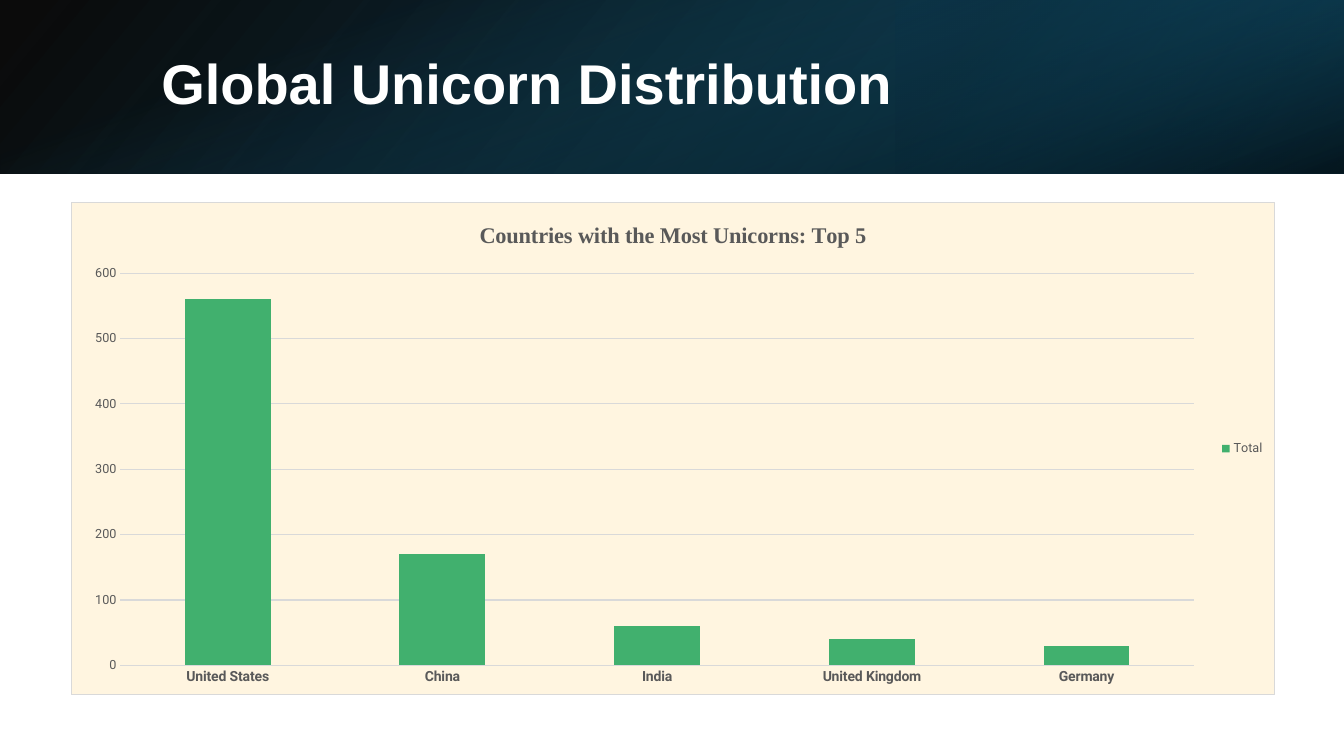
"""Builds the slide on global unicorn distribution."""
from dataclasses import dataclass

from lxml import etree
from pptx import Presentation
from pptx.chart.data import CategoryChartData
from pptx.dml.color import RGBColor
from pptx.enum.chart import XL_CHART_TYPE, XL_LEGEND_POSITION, XL_TICK_MARK
from pptx.enum.shapes import MSO_SHAPE
from pptx.enum.text import MSO_ANCHOR, PP_ALIGN
from pptx.oxml import parse_xml
from pptx.oxml.ns import nsdecls, qn
from pptx.util import Inches, Pt

STACKED = XL_CHART_TYPE.COLUMN_STACKED
LEGEND_RIGHT = XL_LEGEND_POSITION.RIGHT
NO_TICK = XL_TICK_MARK.NONE
RECTANGLE = MSO_SHAPE.RECTANGLE
MIDDLE = MSO_ANCHOR.MIDDLE
LEFT = PP_ALIGN.LEFT

WIDTH, HEIGHT = 13.33, 7.5
BANNER = 1.72
COUNTRIES = {
    "United States": 560,
    "China": 170,
    "India": 60,
    "United Kingdom": 40,
    "Germany": 30,
}


@dataclass(frozen=True)
class Theme:
    """Colours, fonts and type sizes of the slide."""
    white: str = "FFFFFF"
    black: str = "000000"
    teal: str = "104862"
    navy: str = "0B3041"
    blue: str = "156082"
    cream: str = "FFF5E0"
    green: str = "41B06E"
    ink: str = "595959"
    rule: str = "D9D9D9"
    title_font: str = "Arial"
    heading_font: str = "Times New Roman"
    chart_font: str = "Roboto"
    title_size: int = 40
    heading_size: int = 16
    category_size: int = 10
    label_size: int = 9
    rule_width: float = 0.75


THEME = Theme()


def format_font(font, name=THEME.chart_font, size=THEME.label_size, color=THEME.ink, bold=False):
    """Set the typeface, size, colour and weight of a font."""
    font.name, font.size, font.bold = name, Pt(size), bold
    font.color.rgb = RGBColor.from_string(color)


def write_text(frame, text, align=None, **font_format):
    """Write one formatted paragraph into a text frame."""
    para = frame.paragraphs[0]
    para.alignment = align
    span = para.add_run()
    span.text = text
    format_font(span.font, **font_format)
    return para


def format_rule(line):
    """Draw a line as a thin grey rule."""
    line.color.rgb = RGBColor.from_string(THEME.rule)
    line.width = Pt(THEME.rule_width)


def add_gradient_box(page, frame, stops, angle, rotation=0, flip=False):
    """Add a box with a translucent linear gradient."""
    box = page.shapes.add_shape(RECTANGLE, *map(Inches, frame))
    box.shadow.inherit = False
    box.line.fill.background()
    box.rotation = rotation
    properties = box.element.spPr
    if flip:
        properties.find(qn("a:xfrm")).set("flipH", "1")
    marks = "".join(
        f'<a:gs pos="{place * 1000}"><a:srgbClr val="{color}">'
        f'<a:alpha val="{opacity * 1000}"/></a:srgbClr></a:gs>'
        for place, color, opacity in stops
    )
    box.fill.gradient()
    gradient = properties.find(qn("a:gradFill"))
    properties.replace(gradient, parse_xml(
        f'<a:gradFill {nsdecls("a")} rotWithShape="1"><a:gsLst>{marks}</a:gsLst>'
        f'<a:lin ang="{angle * 60000}" scaled="0"/></a:gradFill>'
    ))


def add_banner(page):
    """Layer three gradients across the top of the slide."""
    third = WIDTH / 3
    offset = (WIDTH - BANNER) / 2
    add_gradient_box(page, (0, 0, WIDTH, BANNER),
                     [(0, THEME.black, 96), (100, THEME.teal, 100)], 140, flip=True)
    add_gradient_box(page, (2 * third, 0, third, BANNER),
                     [(19, THEME.navy, 68), (100, THEME.blue, 79)], 320, rotation=180, flip=True)
    add_gradient_box(page, (offset, -offset, BANNER, WIDTH),
                     [(23, THEME.blue, 0), (99, THEME.black, 74)], 340, rotation=90)


def place_title(page, text, frame):
    """Move the title placeholder above the banner and fill it."""
    title = page.shapes.title
    title.left, title.top, title.width, title.height = map(Inches, frame)
    title.element.getparent().append(title.element)
    title.text_frame.word_wrap = True
    title.text_frame.vertical_anchor = MIDDLE
    para = write_text(title.text_frame, text, align=LEFT, name=THEME.title_font,
                      size=THEME.title_size, color=THEME.white, bold=True)
    para.line_spacing = 0.9


def fill_chart_area(chart):
    """Give the chart area its fill and border."""
    area = parse_xml(
        f'<c:spPr {nsdecls("c", "a")}><a:solidFill><a:srgbClr val="{THEME.cream}"/></a:solidFill>'
        f'<a:ln w="{Pt(THEME.rule_width)}"><a:solidFill><a:srgbClr val="{THEME.rule}"/>'
        '</a:solidFill></a:ln></c:spPr>'
    )
    space = chart.element
    space.find(qn("c:chart")).addnext(area)
    if space.find(qn("c:roundedCorners")) is None:
        corners = etree.Element(qn("c:roundedCorners"), val="0")
        space.find(qn("c:chart")).addprevious(corners)


def format_axes(chart):
    """Format the category and value axes."""
    categories, values = chart.category_axis, chart.value_axis
    for axis in (categories, values):
        axis.major_tick_mark = axis.minor_tick_mark = NO_TICK
    format_font(categories.tick_labels.font, size=THEME.category_size, bold=True)
    format_rule(categories.format.line)
    format_font(values.tick_labels.font)
    values.format.line.fill.background()
    values.minimum_scale, values.maximum_scale, values.major_unit = 0, 600, 100
    values.has_major_gridlines = True
    format_rule(values.major_gridlines.format.line)


def add_column_chart(page, heading, name, table, frame):
    """Add a column chart with a heading and a legend."""
    data = CategoryChartData()
    data.categories = list(table)
    data.add_series(name, list(table.values()))
    chart = page.shapes.add_chart(STACKED, *map(Inches, frame), data).chart
    fill_chart_area(chart)
    format_font(chart.font, size=THEME.category_size, color=THEME.black)
    chart.has_title = True
    write_text(chart.chart_title.text_frame, heading, name=THEME.heading_font,
               size=THEME.heading_size, bold=True)
    chart.chart_title.include_in_layout = False
    chart.has_legend = True
    chart.legend.position = LEGEND_RIGHT
    chart.legend.include_in_layout = False
    format_font(chart.legend.font)
    format_axes(chart)
    plot = chart.plots[0]
    plot.gap_width, plot.overlap, plot.vary_by_categories = 150, 100, False
    bars = plot.series[0].format.fill
    bars.solid()
    bars.fore_color.rgb = RGBColor.from_string(THEME.green)


def main():
    """Build and save the deck."""
    deck = Presentation()
    deck.slide_width, deck.slide_height = Inches(WIDTH), Inches(HEIGHT)
    page = deck.slides.add_slide(deck.slide_layouts[5])
    add_banner(page)
    place_title(page, "Global Unicorn Distribution", (1.5, 0.38, 10.98, 0.96))
    add_column_chart(page, "Countries with the Most Unicorns: Top 5", "Total",
                     COUNTRIES, (0.7, 2, 11.95, 4.9))
    deck.save("out.pptx")


if __name__ == "__main__":
    main()
